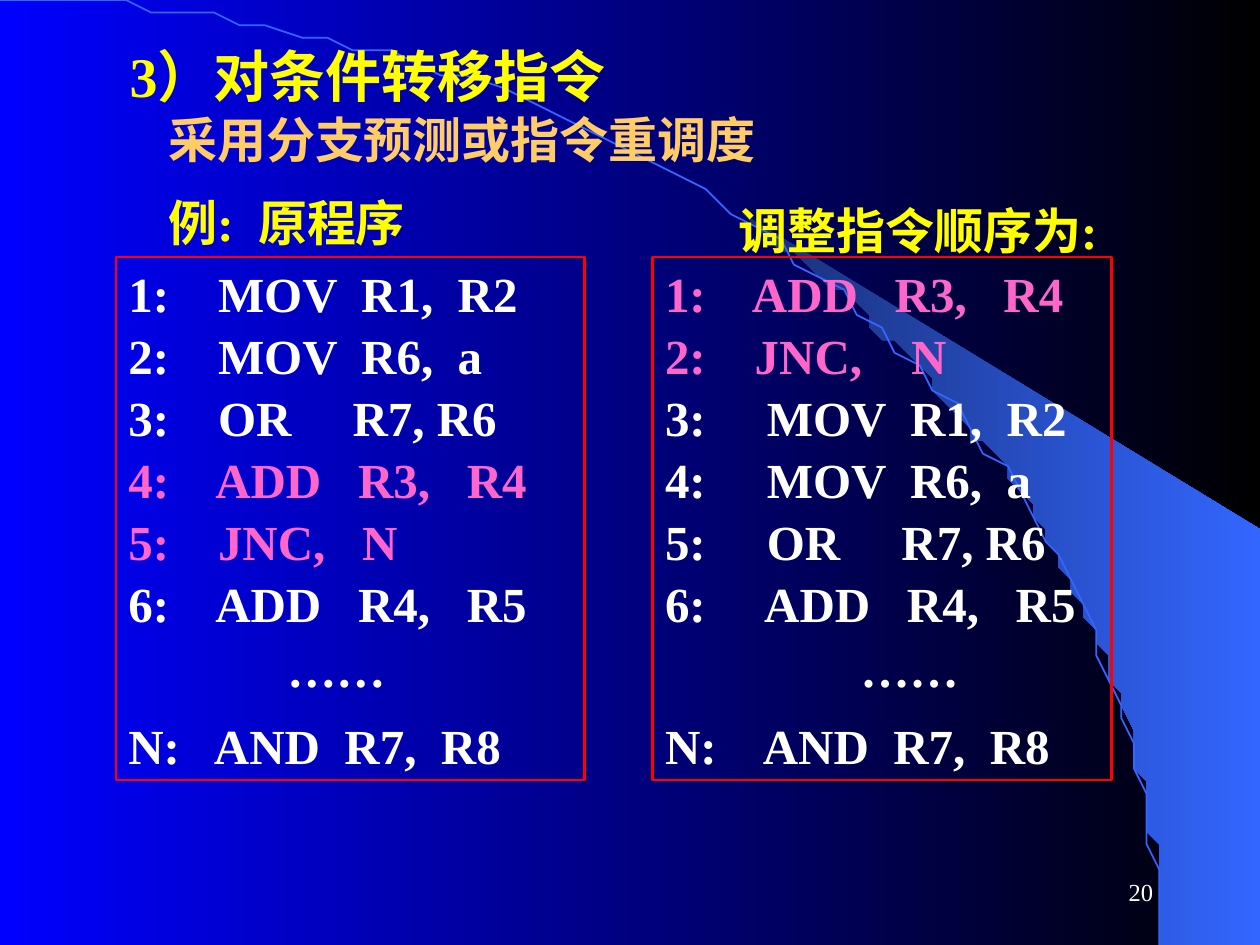
from math import asin, cos, pi, sin

from pptx import Presentation
from pptx.dml.color import RGBColor
from pptx.enum.shapes import MSO_SHAPE
from pptx.enum.text import MSO_ANCHOR, MSO_AUTO_SIZE, PP_ALIGN
from pptx.util import Inches, Pt

RECTANGLE = MSO_SHAPE.RECTANGLE
TOP, MIDDLE = MSO_ANCHOR.TOP, MSO_ANCHOR.MIDDLE
FIT_SHAPE, FIXED = MSO_AUTO_SIZE.SHAPE_TO_FIT_TEXT, MSO_AUTO_SIZE.NONE
LEFT, CENTER, RIGHT = PP_ALIGN.LEFT, PP_ALIGN.CENTER, PP_ALIGN.RIGHT

BLUE = RGBColor(0x00, 0x00, 0xFF)
BLACK = RGBColor(0x00, 0x00, 0x00)
DEEP_BLUE = RGBColor(0x18, 0x2F, 0x76)
SKY_BLUE = RGBColor(0x33, 0x66, 0xFF)
YELLOW = RGBColor(0xFF, 0xFF, 0x00)
ORANGE = RGBColor(0xFF, 0xCC, 0x66)
WHITE = RGBColor(0xFF, 0xFF, 0xFF)
PINK = RGBColor(0xFF, 0x66, 0xCC)
RED = RGBColor(0xFF, 0x00, 0x00)

COLUMNS, ROWS = 100, 75
ARC_WIDTH, ARC_HEIGHT = 92, 74.9
SHEEN_LEFT, SHEEN_RIGHT, SHEEN_TOP = 58.9, 99.9, 42.3
ARC_STEPS = 60
LISTING_TOP, LISTING_HEIGHT = 20.4, 41.5
LINE_GAPS = [0] + [1.8] * 5 + [3.5, 10.5]

ORIGINAL_PROGRAM = [
    ("1:    MOV  R1,  R2", WHITE),
    ("2:    MOV  R6,  a", WHITE),
    ("3:    OR     R7, R6", WHITE),
    ("4:    ADD   R3,   R4", PINK),
    ("5:    JNC,   N", PINK),
    ("6:    ADD   R4,   R5", WHITE),
    ("             ……", WHITE),
    ("N:   AND  R7,  R8", WHITE),
]
REORDERED_PROGRAM = [
    ("1:    ADD   R3,   R4", PINK),
    ("2:    JNC,    N", PINK),
    ("3:     MOV  R1,  R2", WHITE),
    ("4:     MOV  R6,  a", WHITE),
    ("5:     OR     R7, R6", WHITE),
    ("6:     ADD   R4,   R5", WHITE),
    ("                ……", WHITE),
    ("N:    AND  R7,  R8", WHITE),
]


def arc_points(start_column):
    """Return grid points along the quarter ellipse from a column to its end."""
    start = asin(start_column / ARC_WIDTH)
    angles = [start + (pi / 2 - start) * i / ARC_STEPS for i in range(ARC_STEPS + 1)]
    return [(ARC_WIDTH * sin(a), ARC_HEIGHT * (1 - cos(a))) for a in angles]


class SlideBuilder:
    """Hold the style and the slide, and place elements on its grid."""

    def __init__(self, deck, font="Times New Roman", size=28):
        self.font, self.size = font, size
        self.cell_width = deck.slide_width / COLUMNS
        self.cell_height = deck.slide_height / ROWS
        self.slide = deck.slides.add_slide(deck.slide_layouts[5])
        self.shapes = self.slide.shapes

    def box(self, left, top, width, height):
        return (round(left * self.cell_width), round(top * self.cell_height),
                round(width * self.cell_width), round(height * self.cell_height))

    def gradient(self, fill, first, last):
        fill.gradient()
        fill.gradient_angle = 0
        for stop, color in zip(fill.gradient_stops, (first, last)):
            stop.color.rgb = color

    def backdrop(self, points, closed):
        pen = self.shapes.build_freeform(
            *points[0], scale=(self.cell_width, self.cell_height))
        pen.add_line_segments(points[1:], close=closed)
        outline = pen.convert_to_shape()
        outline.shadow.inherit = False
        self.shapes.title.element.addprevious(outline.element)
        return outline

    def sheen(self):
        corners = [(SHEEN_RIGHT, ARC_HEIGHT), (SHEEN_RIGHT, SHEEN_TOP)]
        wedge = self.backdrop(arc_points(SHEEN_LEFT) + corners, True)
        self.gradient(wedge.fill, DEEP_BLUE, SKY_BLUE)
        wedge.line.fill.background()

    def arc(self):
        curve = self.backdrop(arc_points(0), False)
        curve.fill.background()
        curve.line.color.rgb = SKY_BLUE
        curve.line.width = Pt(1)

    def add_lines(self, holder, lines, align, size=None, bold=True, anchor=TOP, fit=FIT_SHAPE):
        frame = holder.text_frame
        frame.word_wrap = True
        frame.auto_size = fit
        frame.vertical_anchor = anchor
        for index, (text, color) in enumerate(lines):
            paragraph = frame.add_paragraph() if index else frame.paragraphs[0]
            paragraph.alignment = align
            paragraph.space_before = Pt(LINE_GAPS[index])
            run = paragraph.add_run()
            run.text = text
            run.font.name = self.font
            run.font.size = Pt(size or self.size)
            run.font.bold = bold
            run.font.color.rgb = color

    def title(self, text, *place):
        heading = self.shapes.title
        heading.left, heading.top, heading.width, heading.height = self.box(*place)
        self.add_lines(heading, [(text, YELLOW)], CENTER, size=32)

    def caption(self, text, color, *place):
        label = self.shapes.add_textbox(*self.box(*place))
        self.add_lines(label, [(text, color)], CENTER)

    def listing(self, lines, left, width):
        panel = self.shapes.add_shape(
            RECTANGLE, *self.box(left, LISTING_TOP, width, LISTING_HEIGHT))
        panel.shadow.inherit = False
        panel.fill.background()
        panel.line.color.rgb = RED
        panel.line.width = Pt(1.5)
        self.add_lines(panel, lines, LEFT)

    def page_number(self, text, *place):
        number = self.shapes.add_textbox(*self.box(*place))
        self.add_lines(number, [(text, WHITE)], RIGHT, size=14, bold=False,
                       anchor=MIDDLE, fit=FIXED)


def main():
    """Build the slide and save it."""
    deck = Presentation()
    deck.slide_width, deck.slide_height = Inches(10), Inches(7.5)
    builder = SlideBuilder(deck)
    builder.gradient(builder.slide.background.fill, BLUE, BLACK)
    builder.sheen()
    builder.arc()
    builder.page_number("20", 71.7, 68.3, 20.8, 5)
    builder.title("3）对条件转移指令", 5, 2.8, 48.4, 6.4)
    builder.caption("采用分支预测或指令重调度", ORANGE, 8.2, 8.2, 56.9, 5.7)
    builder.caption("例:  原程序", YELLOW, 8.3, 14.8, 28.9, 5.7)
    builder.listing(ORIGINAL_PROGRAM, 9.2, 37.2)
    builder.caption("调整指令顺序为:", YELLOW, 54.9, 15.4, 35.9, 5.7)
    builder.listing(REORDERED_PROGRAM, 51.8, 36.4)
    deck.save("out.pptx")


if __name__ == "__main__":
    main()
